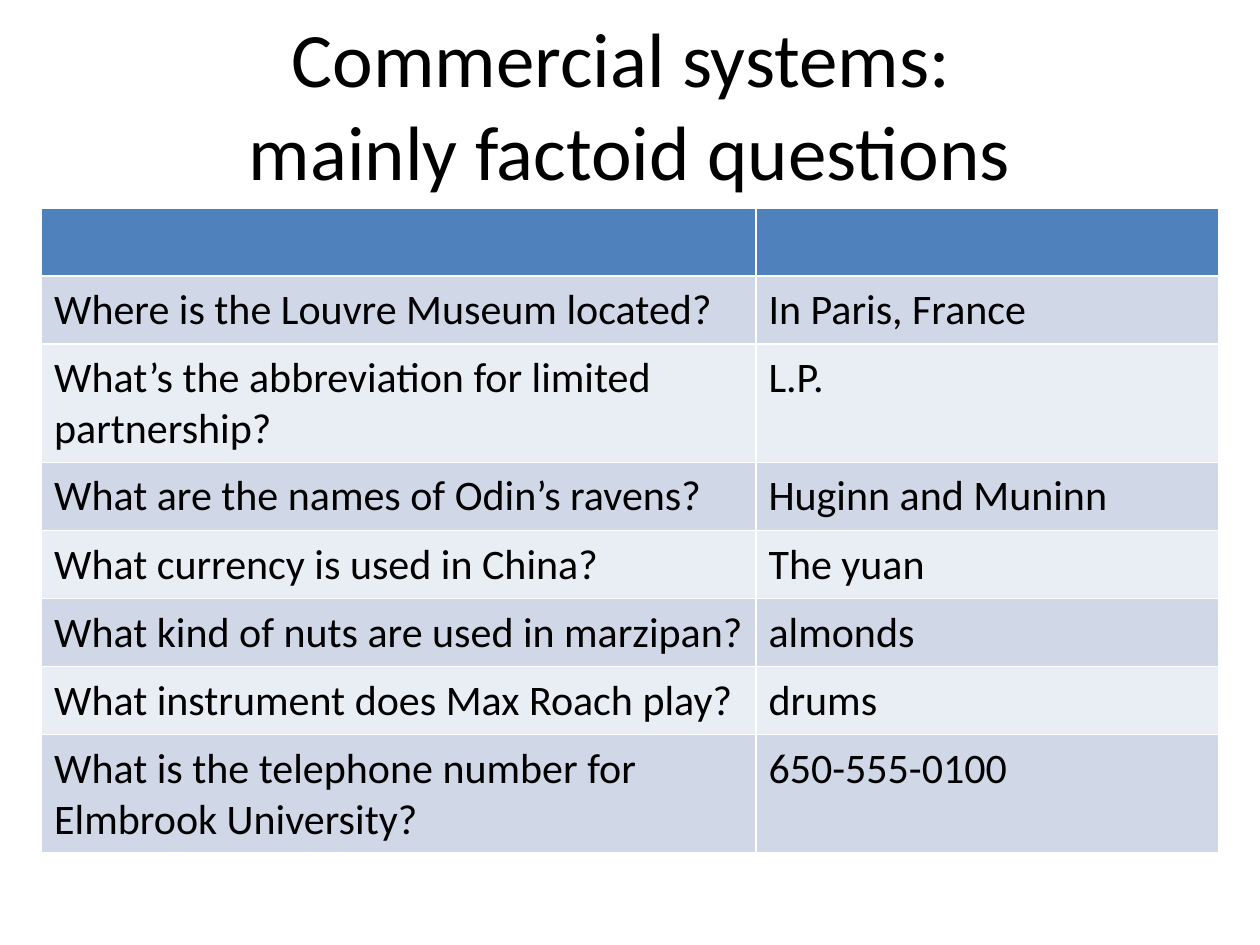
from dataclasses import dataclass

from pptx import Presentation
from pptx.dml.color import RGBColor as Color
from pptx.enum.text import MSO_ANCHOR as Anchor, PP_ALIGN as Align
from pptx.util import Inches, Pt


@dataclass(frozen=True)
class Theme:
    font: str = "Calibri"
    title_size: int = 44
    cell_size: int = 24
    text: str = "000000"
    header: str = "4F81BD"
    bands: tuple = ("E9EDF4", "D0D8E8")


theme = Theme()


def set_font(paragraph, size):
    paragraph.font.name = theme.font
    paragraph.font.size = Pt(size)
    paragraph.font.bold = False
    paragraph.font.color.rgb = Color.from_string(theme.text)


rows = [
    ("", ""),
    ("Where is the Louvre Museum located?", "In Paris, France"),
    ("What’s the abbreviation for limited partnership?", "L.P."),
    ("What are the names of Odin’s ravens?", "Huginn and Muninn"),
    ("What currency is used in China?", "The yuan"),
    ("What kind of nuts are used in marzipan?", "almonds"),
    ("What instrument does Max Roach play?", "drums"),
    ("What is the telephone number for Elmbrook University?", "650-555-0100"),
]
column_widths = (Inches(5.67), Inches(3.67))
single_line, double_line = Inches(0.54), Inches(0.93)
longest_single_line = 40  # characters that fit in the question column

presentation = Presentation()
presentation.slide_width = Inches(10)
presentation.slide_height = Inches(7.5)
slide = presentation.slides.add_slide(presentation.slide_layouts[6])

# Title across the full width
title = slide.shapes.add_textbox(0, 0, presentation.slide_width, Inches(1.64))
title_frame = title.text_frame
title_frame.word_wrap = True
title_frame.vertical_anchor = Anchor.MIDDLE
title_paragraph = title_frame.paragraphs[0]
title_paragraph.text = "Commercial systems: \vmainly factoid questions"
title_paragraph.alignment = Align.CENTER
set_font(title_paragraph, theme.title_size)

# Question and answer table; the default table style draws the white rules
row_heights = [
    double_line if len(question) > longest_single_line else single_line
    for question, answer in rows
]
table_width = sum(column_widths)
table = slide.shapes.add_table(
    len(rows), len(column_widths),
    (presentation.slide_width - table_width) // 2, Inches(1.65),
    table_width, sum(row_heights),
).table
for column, width in zip(table.columns, column_widths):
    column.width = width

for row_index, (row, height, texts) in enumerate(zip(table.rows, row_heights, rows)):
    row.height = height
    fill = theme.bands[row_index % 2] if row_index else theme.header
    for cell, text in zip(row.cells, texts):
        cell.fill.solid()
        cell.fill.fore_color.rgb = Color.from_string(fill)
        cell.margin_top = cell.margin_bottom = Inches(0.07)
        paragraph = cell.text_frame.paragraphs[0]
        paragraph.text = text
        set_font(paragraph, theme.cell_size)

presentation.save("out.pptx")
